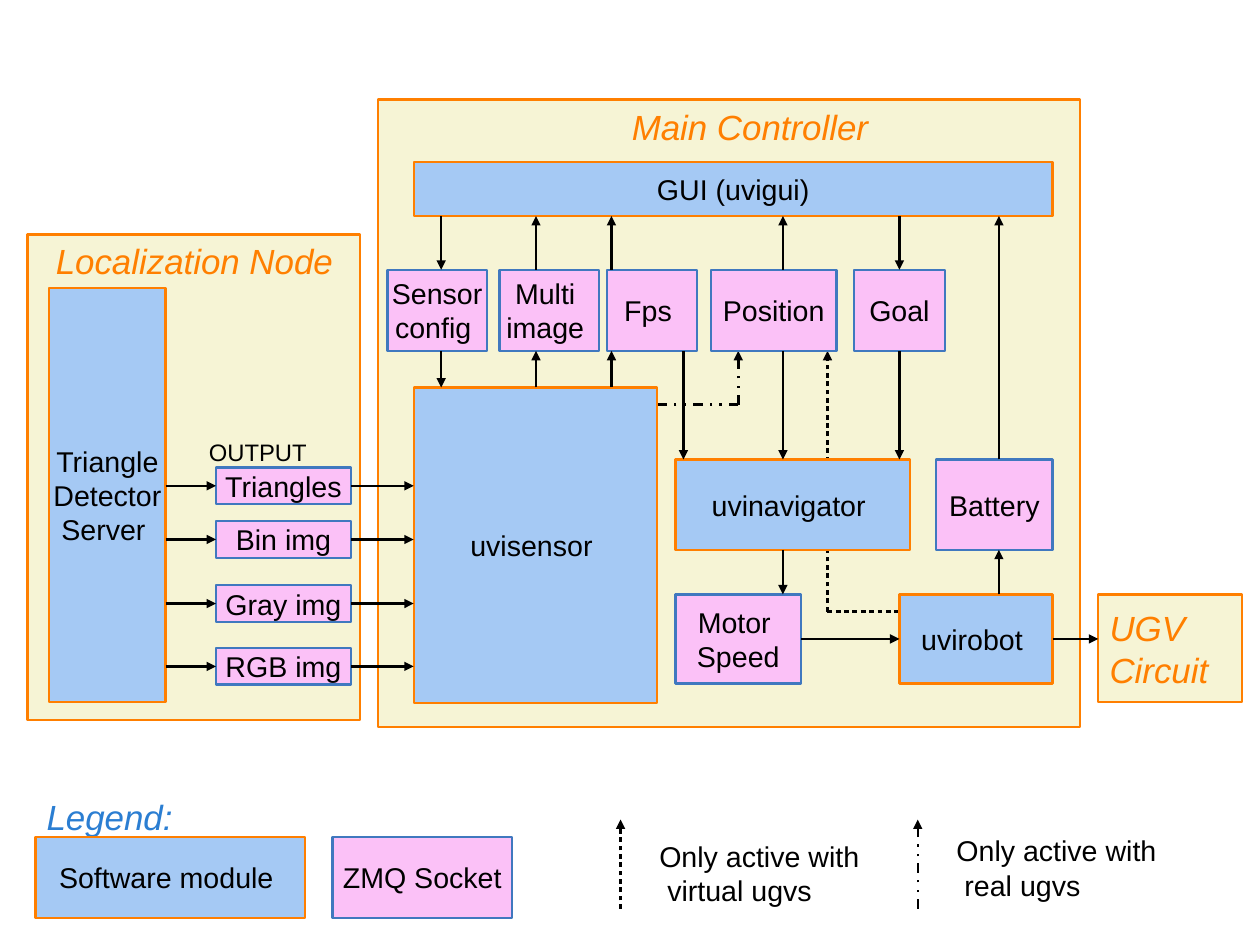
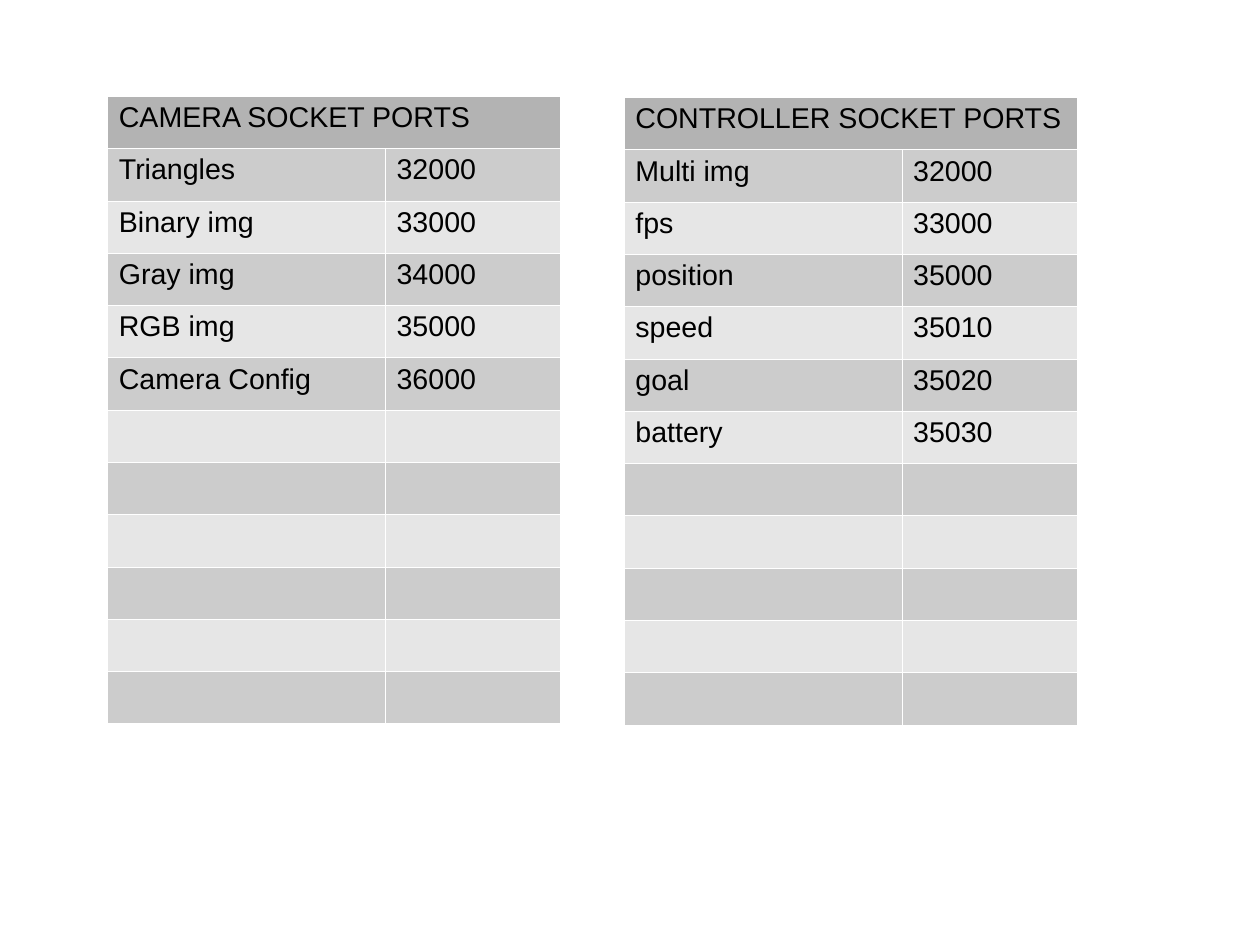
from dataclasses import dataclass
from typing import Any

from lxml import etree
from pptx import Presentation
from pptx.dml.color import RGBColor
from pptx.enum.shapes import MSO_CONNECTOR, MSO_SHAPE
from pptx.enum.text import MSO_ANCHOR, PP_ALIGN
from pptx.oxml.ns import qn
from pptx.util import Emu, Inches, Pt

RECTANGLE = MSO_SHAPE.RECTANGLE
STRAIGHT = MSO_CONNECTOR.STRAIGHT
MIDDLE, TOP = MSO_ANCHOR.MIDDLE, MSO_ANCHOR.TOP
CENTER, LEFT = PP_ALIGN.CENTER, PP_ALIGN.LEFT
SIDE_TOP, SIDE_LEFT, SIDE_BOTTOM, SIDE_RIGHT = range(4)

# 28 by 21 cm page
SLIDE_WIDTH, SLIDE_HEIGHT = Emu(10080625), Emu(7559675)

BLACK = RGBColor(0x00, 0x00, 0x00)
CREAM = RGBColor(0xF6, 0xF4, 0xD5)
ORANGE = RGBColor(0xFF, 0x7F, 0x00)
SKY = RGBColor(0xA5, 0xC9, 0xF4)
PINK = RGBColor(0xFB, 0xC1, 0xF7)
STEEL = RGBColor(0x40, 0x78, 0xBF)
LEGEND_BLUE = RGBColor(0x2B, 0x7E, 0xD2)
HEADER_GRAY = RGBColor(0xB3, 0xB3, 0xB3)
BAND_GRAYS = (RGBColor(0xCC, 0xCC, 0xCC), RGBColor(0xE6, 0xE6, 0xE6))

# Fill and outline of each kind of box
NODE, MODULE, SOCKET = (CREAM, ORANGE), (SKY, ORANGE), (PINK, STEEL)

BODY = {"name": "Arial", "size": Pt(18)}
HEADING = {"name": "Arial", "size": Pt(22), "italic": True}
SMALL = {"name": "Arial", "size": Pt(15)}

BLOCK_FRAME = {"word_wrap": False, "vertical_anchor": MIDDLE,
               "margin_left": Inches(0.11), "margin_right": Inches(0.11),
               "margin_top": Inches(0.06), "margin_bottom": Inches(0.06)}
LABEL_FRAME = {"word_wrap": True, "vertical_anchor": TOP,
               "margin_left": Inches(0.1), "margin_right": Inches(0.1),
               "margin_top": Inches(0.05), "margin_bottom": Inches(0.05)}

# Dash and gap lengths, in line widths
VIRTUAL_ONLY = ((2, 1.5),)
REAL_ONLY = ((4, 3), (1, 3), (1, 3))

LINE_WIDTH = Pt(1.5)
CELL_BORDER = 762  # EMU


def apply(target, values):
    for name, value in values.items():
        setattr(target, name, value)


def write(frame, lines, style, color=BLACK, align=LEFT):
    for index, line in enumerate(lines):
        paragraph = frame.paragraphs[0] if index == 0 else frame.add_paragraph()
        paragraph.text = line
        paragraph.alignment = align
        apply(paragraph.font, style)
        paragraph.font.color.rgb = color


@dataclass
class Region:
    """Part of a slide; all positions are inches from its top left corner."""
    slide: Any
    left: float
    top: float

    def point(self, x, y):
        return Inches(self.left + x), Inches(self.top + y)

    def block(self, x, y, width, height, kind, *lines):
        fill, outline = kind
        block = self.slide.shapes.add_shape(
            RECTANGLE, *self.point(x, y), Inches(width), Inches(height))
        block.shadow.inherit = False
        block.fill.solid()
        block.fill.fore_color.rgb = fill
        block.line.color.rgb = outline
        block.line.width = LINE_WIDTH
        apply(block.text_frame, BLOCK_FRAME)
        write(block.text_frame, lines, BODY, align=CENTER)
        return block

    def label(self, x, y, width, height, style, color, *lines):
        label = self.slide.shapes.add_textbox(
            *self.point(x, y), Inches(width), Inches(height))
        apply(label.text_frame, LABEL_FRAME)
        write(label.text_frame, lines, style, color)
        return label

    def arrow(self, start, end, dashes=(), head=True, begin=None, finish=None):
        """begin and finish are (box, side) pairs to join the ends to."""
        arrow = self.slide.shapes.add_connector(
            STRAIGHT, *self.point(*start), *self.point(*end))
        if begin:
            arrow.begin_connect(*begin)
        if finish:
            arrow.end_connect(*finish)
        arrow.line.color.rgb = BLACK
        arrow.line.width = LINE_WIDTH
        line = arrow.line._get_or_add_ln()
        if dashes:
            pattern = etree.SubElement(line, qn("a:custDash"))
            for dash, gap in dashes:
                etree.SubElement(pattern, qn("a:ds"), d=str(int(dash * 100000)),
                                 sp=str(int(gap * 100000)))
        if head:
            etree.SubElement(line, qn("a:tailEnd"), type="triangle")
        etree.SubElement(arrow._element.spPr, qn("a:effectLst"))

    def elbow(self, start, corner, end, dashes):
        self.arrow(corner, start, dashes, head=False)
        self.arrow(corner, end, dashes)


def draw_controller(slide, left, top):
    region = Region(slide, left, top)
    region.block(0, 0, 6.14, 5.49, NODE)
    region.label(2.12, 0, 2.76, 0.65, HEADING, ORANGE, "Main Controller")

    # Conditional position links run behind the modules
    region.elbow((2.44, 2.67), (3.15, 2.67), (3.15, 2.2), REAL_ONLY)
    region.elbow((4.64, 4.48), (3.93, 4.48), (3.93, 2.2), VIRTUAL_ONLY)

    # Software modules
    region.block(0.31, 0.55, 5.59, 0.47, MODULE, "GUI (uvigui)")
    region.block(0.31, 2.52, 2.13, 2.76, MODULE, "uvisensor ")
    region.block(2.6, 3.15, 2.05, 0.79, MODULE, "uvinavigator ")
    robot = region.block(4.56, 4.33, 1.34, 0.78, MODULE, "uvirobot ")

    # Sockets
    for x, width, lines in ((0.08, 0.87, ("Sensor", "config ")),
                            (1.06, 0.87, ("Multi ", "image ")),
                            (2.0, 0.79, ("Fps ",)),
                            (2.91, 1.1, ("Position",))):
        region.block(x, 1.49, width, 0.71, SOCKET, *lines)
    goal = region.block(4.16, 1.49, 0.8, 0.71, SOCKET, "Goal")
    region.block(4.88, 3.15, 1.02, 0.79, SOCKET, "Battery")
    motor = region.block(2.6, 4.33, 1.1, 0.78, SOCKET, "Motor ", "Speed")

    # Vertical flows: x, from y, to y
    for x, start, end in ((0.55, 1.02, 1.49), (0.55, 2.2, 2.52),
                          (1.38, 2.52, 2.2), (1.38, 1.49, 1.02),
                          (2.04, 2.52, 2.2), (2.04, 1.49, 1.02),
                          (2.67, 2.2, 3.15),
                          (3.54, 1.49, 1.02), (3.54, 2.2, 3.15),
                          (3.54, 3.94, 4.33),
                          (5.43, 4.33, 3.94), (5.43, 3.15, 1.02)):
        region.arrow((x, start), (x, end))
    region.arrow((4.56, 1.02), (4.56, 1.49), finish=(goal, SIDE_TOP))
    region.arrow((4.56, 2.2), (4.56, 3.15), begin=(goal, SIDE_BOTTOM))
    region.arrow((3.7, 4.72), (4.56, 4.72),
                 begin=(motor, SIDE_RIGHT), finish=(robot, SIDE_LEFT))
    return robot


def draw_localization(slide, left, top):
    region = Region(slide, left, top)
    region.block(0, 0, 2.91, 4.25, NODE)
    region.label(0.15, 0, 2.76, 0.65, HEADING, ORANGE, "Localization Node")
    region.label(1.49, 1.73, 1.1, 0.42, SMALL, BLACK, "OUTPUT")
    region.block(0.19, 0.47, 1.02, 3.62, MODULE, "Triangle", "Detector", "Server ")

    # Output sockets, each fed by the detector and read by the sensor module
    for middle, name in ((2.2, "Triangles"), (2.67, "Bin img"),
                         (3.23, "Gray img"), (3.78, "RGB img")):
        socket = region.block(1.65, middle - 0.16, 1.18, 0.32, SOCKET, name)
        region.arrow((1.21, middle), (1.65, middle), finish=(socket, SIDE_LEFT))
        region.arrow((2.83, middle), (3.38, middle), begin=(socket, SIDE_RIGHT))


def draw_vehicle(slide, left, top, robot):
    region = Region(slide, left, top)
    region.block(0, 0, 1.26, 0.94, NODE)
    region.label(0, 0.06, 1.4, 0.78, HEADING, ORANGE, "UGV", "Circuit")
    region.arrow((-0.4, 0.39), (0, 0.39), begin=(robot, SIDE_RIGHT))


def draw_legend(slide, left, top):
    region = Region(slide, left, top)
    region.label(0, 0, 2.76, 0.65, HEADING, LEGEND_BLUE, "Legend:")
    region.block(0, 0.41, 2.36, 0.71, MODULE, "Software module ")
    region.block(2.6, 0.41, 1.57, 0.71, SOCKET, "ZMQ Socket")
    for x, text_top, dashes, vehicles in (
            (5.12, 0.38, VIRTUAL_ONLY, "virtual ugvs"),
            (7.72, 0.33, REAL_ONLY, "real ugvs")):
        region.arrow((x, 1.04), (x, 0.26), dashes)
        note = region.label(x + 0.24, text_top, 1.95, 0.66, BODY, BLACK,
                            "Only active with", vehicles)
        note.text_frame.word_wrap = False
        second_line = note.text_frame.paragraphs[1]._p.get_or_add_pPr()
        second_line.set("marL", str(Inches(0.07)))


def style_cell(cell, fill):
    cell.fill.solid()
    cell.fill.fore_color.rgb = fill
    properties = cell._tc.get_or_add_tcPr()
    for index, side in enumerate(("lnL", "lnR", "lnT", "lnB")):
        border = etree.Element(qn(f"a:{side}"), w=str(CELL_BORDER))
        paint = etree.SubElement(border, qn("a:solidFill"))
        etree.SubElement(paint, qn("a:srgbClr"), val="FFFFFF")
        properties.insert(index, border)


def draw_port_table(slide, left, top, heading, ports, row_count=12):
    table = slide.shapes.add_table(
        row_count, 2, Inches(left), Inches(top), Inches(3.96), Inches(5.49)).table
    apply(table, {"first_row": False, "horz_banding": False})
    for column, width in zip(table.columns, (2.43, 1.53)):
        column.width = Inches(width)
    table.cell(0, 0).merge(table.cell(0, 1))

    rows = [(heading,), *ports]
    for row in range(row_count):
        fill = BAND_GRAYS[(row - 1) % 2] if row else HEADER_GRAY
        texts = rows[row] if row < len(rows) else ()
        for column in range(2):
            cell = table.cell(row, column)
            style_cell(cell, fill)
            if column < len(texts):
                write(cell.text_frame, [texts[column]], BODY)


def build_architecture(slide):
    robot = draw_controller(slide, 3.31, 0.87)
    draw_localization(slide, 0.24, 2.05)
    draw_vehicle(slide, 9.61, 5.2, robot)
    draw_legend(slide, 0.31, 6.91)


def build_ports(slide):
    draw_port_table(slide, 0.94, 0.84, "CAMERA SOCKET PORTS", (
        ("Triangles", "32000"), ("Binary img", "33000"), ("Gray img", "34000"),
        ("RGB img", "35000"), ("Camera Config", "36000")))
    draw_port_table(slide, 5.46, 0.85, "CONTROLLER SOCKET PORTS", (
        ("Multi img", "32000"), ("fps", "33000"), ("position", "35000"),
        ("speed", "35010"), ("goal", "35020"), ("battery", "35030")))


def main():
    deck = Presentation()
    deck.slide_width, deck.slide_height = SLIDE_WIDTH, SLIDE_HEIGHT
    blank = deck.slide_layouts[6]
    build_architecture(deck.slides.add_slide(blank))
    build_ports(deck.slides.add_slide(blank))
    deck.save("out.pptx")


if __name__ == "__main__":
    main()
